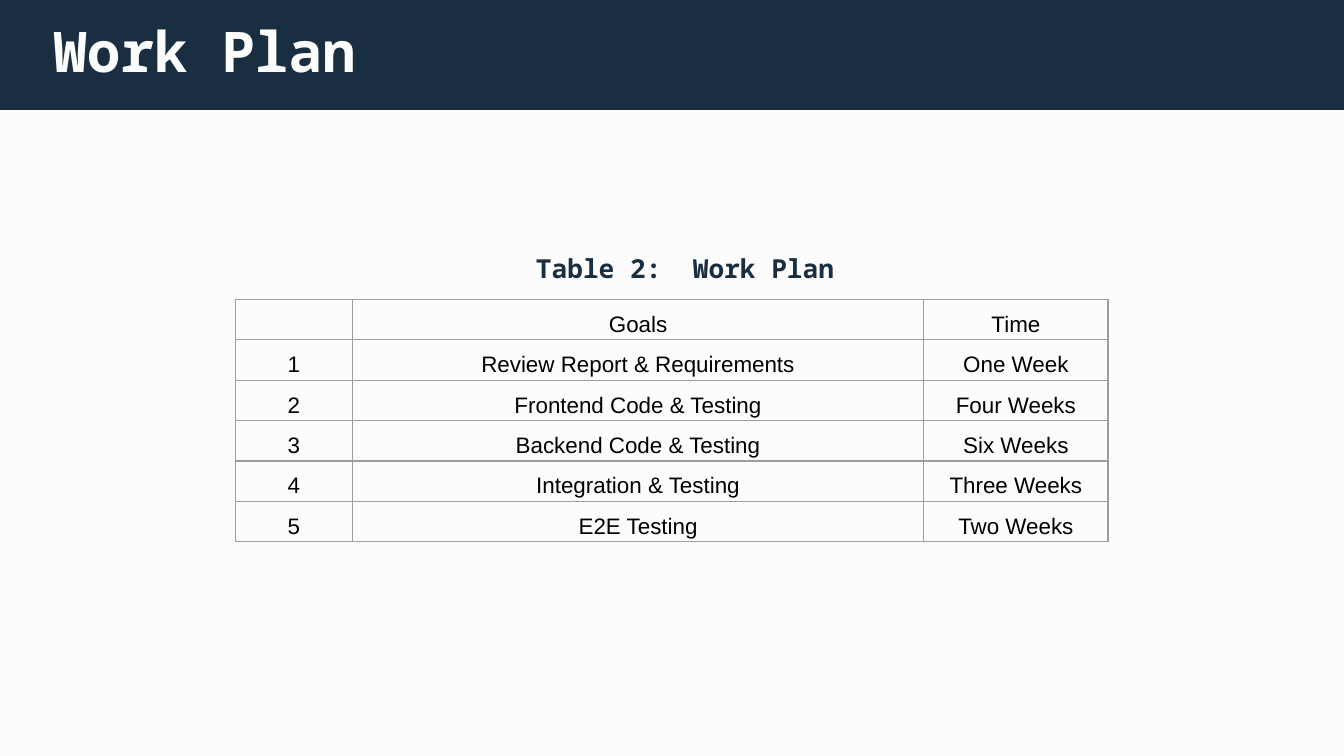
from dataclasses import dataclass
from pptx import Presentation
from pptx.dml.color import RGBColor
from pptx.enum.shapes import MSO_SHAPE
from pptx.enum.text import MSO_ANCHOR, PP_ALIGN
from pptx.oxml import parse_xml
from pptx.oxml.ns import nsdecls
from pptx.util import Cm, Pt

TITLE = "Work Plan"
LABEL = "Table 2:  Work Plan"
HEAD = ("", "Goals", "Time")
GOALS = [
    ("Review Report & Requirements", "One Week"),
    ("Frontend Code & Testing", "Four Weeks"),
    ("Backend Code & Testing", "Six Weeks"),
    ("Integration & Testing", "Three Weeks"),
    ("E2E Testing", "Two Weeks"),
]
ROWS = [HEAD] + [(str(n), *goal) for n, goal in enumerate(GOALS, 1)]
COLS = (2.21, 10.8, 3.48)
ROW = 0.76


@dataclass(frozen=True)
class Theme:
    navy: str = "192E40"
    pale: str = "FCFCFC"
    ink: str = "000000"
    rule: str = "9E9E9E"
    mono: str = "Noto Sans Mono"
    sans: str = "Arial"
    big: int = 30
    mid: int = 14
    small: int = 12


theme = Theme()
PAD = {"margin_" + side: Cm(0.25) for side in ("left", "top", "right", "bottom")}
CELL = {"margin_left": Cm(0.18), "margin_right": Cm(0.18), "margin_top": 0, "margin_bottom": 0}


def apply(item, form):
    for name, value in form.items():
        setattr(item, name, value)


def paint(fill, tint):
    fill.solid()
    fill.fore_color.rgb = RGBColor.from_string(tint)


def write(frame, text, font, tint, form):
    para = frame.paragraphs[0]
    apply(para, form)
    run = para.add_run()
    run.text = text
    apply(run.font, font)
    run.font.color.rgb = RGBColor.from_string(tint)
    return para


def label(slide, box, text, size, tint, anchor, form):
    frame = slide.shapes.add_textbox(*map(Cm, box)).text_frame
    apply(frame, {**PAD, "word_wrap": True, "vertical_anchor": anchor})
    font = {"name": theme.mono, "size": Pt(size), "bold": True}
    return write(frame, text, font, tint, form)


def border(cell):
    props = cell._tc.get_or_add_tcPr()
    for at, side in enumerate(("lnL", "lnR", "lnT", "lnB")):
        props.insert(at, parse_xml(
            f'<a:{side} {nsdecls("a")} w="{Pt(0.75)}"><a:solidFill>'
            f'<a:srgbClr val="{theme.rule}"/></a:solidFill></a:{side}>'))


deck = Presentation()
apply(deck, {"slide_width": Cm(25.4), "slide_height": Cm(14.29)})
slide = deck.slides.add_slide(deck.slide_layouts[6])
paint(slide.background.fill, theme.pale)

bar = slide.shapes.add_shape(MSO_SHAPE.RECTANGLE, *map(Cm, (-0.13, -0.25, 25.65, 2.33)))
bar.shadow.inherit = False
paint(bar.fill, theme.navy)
bar.line.fill.background()

label(slide, (0.76, -0.2, 13.82, 2.29), TITLE, theme.big, theme.pale, MSO_ANCHOR.MIDDLE, {})

table = slide.shapes.add_table(
    len(ROWS), len(COLS), Cm(4.45), Cm(5.66), Cm(sum(COLS)), Cm(ROW * len(ROWS))).table
apply(table, {"first_row": False, "horz_banding": False})
for col, width in zip(table.columns, COLS):
    col.width = Cm(width)
for row, texts in zip(table.rows, ROWS):
    row.height = Cm(ROW)
    for cell, text in zip(row.cells, texts):
        apply(cell, CELL)
        cell.fill.background()
        border(cell)
        write(cell.text_frame, text, {"name": theme.sans, "size": Pt(theme.small)}, theme.ink,
              {"alignment": PP_ALIGN.CENTER, "line_spacing": 1.5})

para = label(slide, (9.5, 4.22, 8.74, 1.45), LABEL, theme.mid, theme.navy, MSO_ANCHOR.TOP,
             {"alignment": PP_ALIGN.JUSTIFY, "line_spacing": 1.5})
para._p.get_or_add_pPr().set("marL", str(Cm(0.38)))

deck.save("out.pptx")
